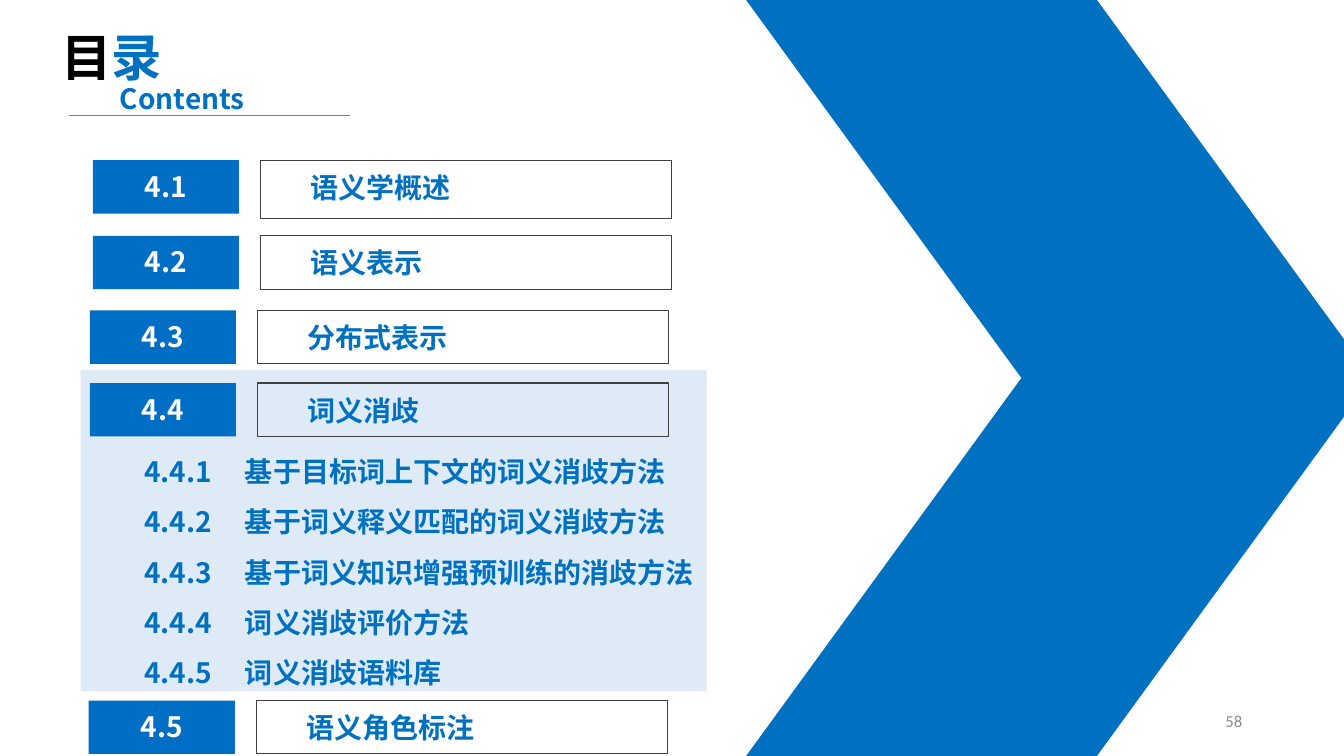
from lxml.etree import SubElement
from pptx import Presentation
from pptx.dml.color import RGBColor
from pptx.enum.shapes import MSO_CONNECTOR, MSO_SHAPE
from pptx.enum.text import MSO_ANCHOR, MSO_AUTO_SIZE, PP_ALIGN
from pptx.oxml.ns import qn
from pptx.util import Inches, Pt

COLORS = {
    "blue": "0070C0", "badge": "006EC5", "pale": "DEEBF7", "frame": "404040",
    "rule": "7F7F7F", "number": "898989", "black": "000000", "white": "FFFFFF",
}
SANS = "Noto Sans CJK SC"
HEADING = {"name": SANS, "size": Pt(20), "bold": True}
TITLE = {"name": SANS, "size": Pt(36), "bold": True}
PAGE_NUMBER = {"name": "Calibri", "size": Pt(12), "bold": False}
SECTIONS = [
    ("4.1", "语义学概述", 0.92, 1.59, 0.58),
    ("4.2", "语义表示", 0.92, 2.34, 0.53),
    ("4.3", "分布式表示", 0.89, 3.08, 0.53),
    ("4.4", "词义消歧", 0.89, 3.8, 0.53),
    ("4.5", "语义角色标注", 0.88, 6.95, 0.53),
]
SUBSECTIONS = [
    "基于目标词上下文的词义消歧方法",
    "基于词义释义匹配的词义消歧方法",
    "基于词义知识增强预训练的消歧方法",
    "词义消歧评价方法",
    "词义消歧语料库",
]


def add_span(para, text, color, style):
    span = para.add_run()
    span.text = text
    for name, value in style.items():
        setattr(span.font, name, value)
    span.font.color.rgb = RGBColor.from_string(COLORS[color])
    SubElement(span.font._element, qn("a:ea")).set("typeface", style["name"])


def add_panel(kind, left, top, width, height, fill=None):
    panel = page.shapes.add_shape(
        kind, Inches(left), Inches(top), Inches(width), Inches(height))
    panel.shadow.inherit = False
    if fill:
        panel.fill.solid()
        panel.fill.fore_color.rgb = RGBColor.from_string(COLORS[fill])
        panel.line.fill.background()
    else:
        panel.fill.background()
        panel.line.color.rgb = RGBColor.from_string(COLORS["frame"])
        panel.line.width = Pt(0.75)
    return panel


deck = Presentation()
deck.slide_width, deck.slide_height = Inches(13.33), Inches(7.5)
page = deck.slides.add_slide(deck.slide_layouts[1])
title, body = page.shapes.title, page.placeholders[1]

for box, left, top, width, height in [
    (title, 0.51, 0.21, 1.57, 0.71),
    (body, 1.33, 4.29, 5.91, 2.57),
]:
    box.left, box.top = Inches(left), Inches(top)
    box.width, box.height = Inches(width), Inches(height)
    box.text_frame.vertical_anchor = MSO_ANCHOR.TOP
    box.text_frame.auto_size = MSO_AUTO_SIZE.NONE
    box.text_frame.word_wrap = True

para = title.text_frame.paragraphs[0]
para.alignment = PP_ALIGN.LEFT
add_span(para, "目", "black", TITLE)
add_span(para, "录", "blue", TITLE)

highlight = add_panel(MSO_SHAPE.RECTANGLE, 0.8, 3.67, 6.21, 3.19, "pale")
body._element.addprevious(highlight._element)

for index, name in enumerate(SUBSECTIONS):
    frame = body.text_frame
    para = frame.add_paragraph() if index else frame.paragraphs[0]
    para.line_spacing = 1.5
    para.space_before = Pt(0)
    settings = para._p.get_or_add_pPr()
    settings.set("marL", "0")
    settings.set("indent", "0")
    SubElement(settings, qn("a:buNone"))
    tab = SubElement(SubElement(settings, qn("a:tabLst")), qn("a:tab"))
    tab.set("pos", str(Inches(0.79)))
    tab.set("algn", "l")
    add_span(para, f"4.4.{index + 1}\t{name}", "blue", HEADING)

for top, flipped in [(3.75, False), (0, True)]:
    arm = add_panel(MSO_SHAPE.PARALLELOGRAM, 7.4, top, 6.21, 3.75, "blue")
    arm.adjustments[0] = 0.728
    if flipped:
        arm._element.spPr.find(qn("a:xfrm")).set("flipV", "1")

for number, name, left, top, height in SECTIONS:
    label = add_panel(MSO_SHAPE.RECTANGLE, left + 1.66, top, 4.08, height)
    badge = add_panel(MSO_SHAPE.RECTANGLE, left, top, 1.45, 0.53, "badge")
    for box, text, color, alignment, margin in [
        (label, name, "blue", PP_ALIGN.LEFT, 0.5),
        (badge, number, "white", PP_ALIGN.CENTER, 0.1),
    ]:
        frame = box.text_frame
        frame.vertical_anchor = MSO_ANCHOR.TOP
        frame.margin_left = Inches(margin)
        frame.margin_top = Inches(0.1 if box is label else 0.09)
        frame.margin_bottom = 0
        frame.paragraphs[0].alignment = alignment
        add_span(frame.paragraphs[0], text, color, HEADING)

rule = page.shapes.add_connector(
    MSO_CONNECTOR.STRAIGHT, Inches(0.68), Inches(1.14), Inches(3.47), Inches(1.14))
rule.line.color.rgb = RGBColor.from_string(COLORS["rule"])
rule.line.width = Pt(0.5)
SubElement(rule._element.spPr, qn("a:effectLst"))

for text, left, top, width, height, color, style, alignment, anchor in [
    ("Contents", 1.09, 0.76, 1.57, 0.44, "blue", HEADING, PP_ALIGN.LEFT, MSO_ANCHOR.TOP),
    ("58", 9.42, 6.95, 3, 0.4, "number", PAGE_NUMBER, PP_ALIGN.RIGHT, MSO_ANCHOR.MIDDLE),
]:
    box = page.shapes.add_textbox(
        Inches(left), Inches(top), Inches(width), Inches(height))
    box.text_frame.word_wrap = True
    box.text_frame.vertical_anchor = anchor
    para = box.text_frame.paragraphs[0]
    para.alignment = alignment
    add_span(para, text, color, style)

deck.save("out.pptx")
